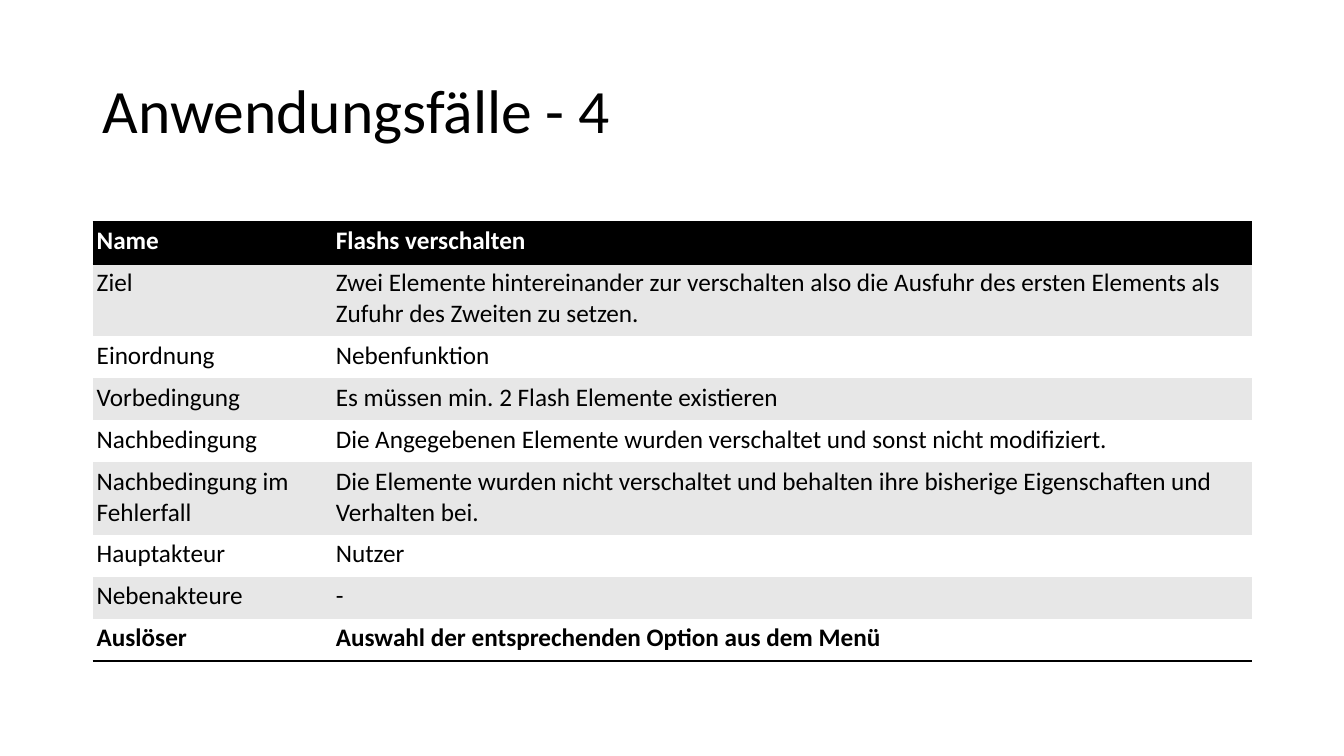
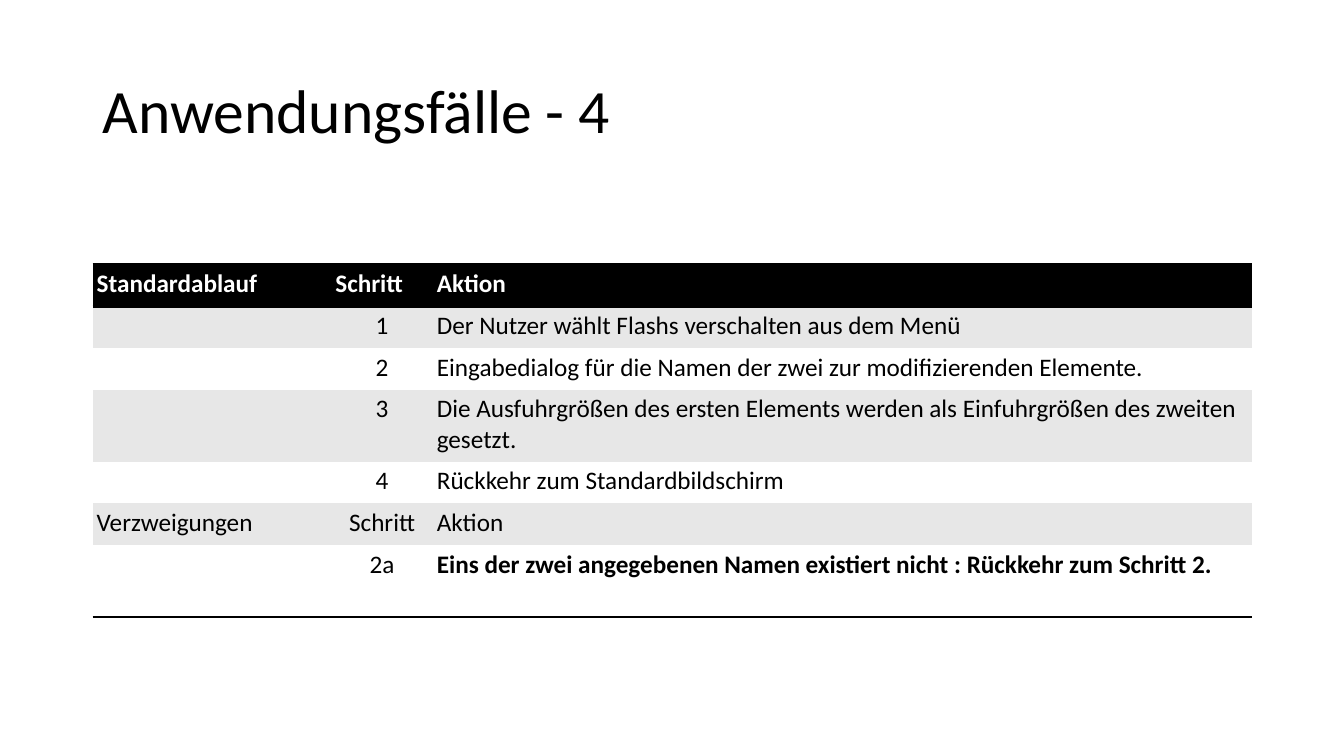
import pptx
import pptx.dml.color
import pptx.enum.text
import pptx.oxml
import pptx.util

Pt = pptx.util.Pt
ALIGN = pptx.enum.text.PP_ALIGN
NAMESPACE = "http://schemas.openxmlformats.org/drawingml/2006/main"
PLAIN_TABLE = "{2D5ABB26-0587-4C30-8999-92F81FD0307C}"


def color(value):
    """Turn a hex string into a colour."""
    return pptx.dml.color.RGBColor.from_string(value)


def assign(target, values):
    """Set the attributes of an object from a dict."""
    for name, value in values.items():
        setattr(target, name, value)


class Slides:
    """Shared style and the current slide."""

    font = "Calibri"
    black, white, band = "000000", "FFFFFF", "E7E7E7"
    left, width = 66.2, 828
    line_height = 21.5
    title_size, cell_size = 44, 18

    def __init__(self):
        """Start a wide deck."""
        self.deck = pptx.Presentation()
        assign(self.deck, {"slide_width": Pt(960), "slide_height": Pt(540)})
        self.page = None

    def add_page(self, title):
        """Add a blank page with its title."""
        self.page = self.deck.slides.add_slide(self.deck.slide_layouts[6])
        box = self.page.shapes.add_textbox(
            Pt(self.left), Pt(28.75), Pt(self.width), Pt(104.4))
        assign(box.text_frame, {
            "word_wrap": True,
            "vertical_anchor": pptx.enum.text.MSO_ANCHOR.MIDDLE})
        para = box.text_frame.paragraphs[0]
        para.line_spacing = 0.9
        self.add_span(para, title, self.title_size, self.black)

    def add_span(self, para, text, size, ink, bold=False):
        """Add a formatted span to a paragraph."""
        span = para.add_run()
        span.text = text
        assign(span.font, {"name": self.font, "size": Pt(size), "bold": bold})
        span.font.color.rgb = color(ink)

    def rule(self, cell, side):
        """Draw a black line on one side of a cell."""
        cell._tc.get_or_add_tcPr().append(pptx.oxml.parse_xml(
            f'<a:ln{side} xmlns:a="{NAMESPACE}" w="{Pt(2)}"><a:solidFill>'
            f'<a:srgbClr val="{self.black}"/></a:solidFill></a:ln{side}>'))

    def fill_cell(self, cell, text, fill, ink, bold, align, sides):
        """Set the lines, fill and text of a cell."""
        for side in sides:
            self.rule(cell, side)
        cell.fill.solid()
        cell.fill.fore_color.rgb = color(fill)
        assign(cell, {f"margin_{side}": Pt(2.9)
                      for side in ("left", "top", "right", "bottom")})
        para = cell.text_frame.paragraphs[0]
        para.alignment = align
        para.font.size = Pt(self.cell_size)
        if text:
            self.add_span(para, text, self.cell_size, ink, bold)

    def add_table(self, top, widths, row_height, rows, tall_rows,
                  bold_columns, centred_columns=()):
        """Add a banded table with a black header and a closing line."""
        heights = [row_height + self.line_height * (index in tall_rows)
                   for index in range(len(rows))]
        table = self.page.shapes.add_table(
            len(rows), len(widths), Pt(self.left), Pt(top),
            Pt(self.width), Pt(sum(heights))).table
        table._tbl.tblPr.find(f"{{{NAMESPACE}}}tableStyleId").text = PLAIN_TABLE
        for column, width in zip(table.columns, widths):
            column.width = Pt(width)
        last = len(rows) - 1
        for index, texts in enumerate(rows):
            table.rows[index].height = Pt(heights[index])
            header = index == 0
            fill = self.black if header else (self.white, self.band)[index % 2]
            sides = "TB" if header else "B" if index == last else ""
            for place, text in enumerate(texts):
                centred = place in centred_columns and not header
                self.fill_cell(
                    table.cell(index, place), text, fill,
                    self.white if header else self.black,
                    header or (index == last and place in bold_columns),
                    ALIGN.CENTER if centred else ALIGN.LEFT, sides)


TITLE = "Anwendungsfälle - 4"
USE_CASE = [
    ("Name", "Flashs verschalten"),
    ("Ziel", "Zwei Elemente hintereinander zur verschalten also die Ausfuhr "
             "des ersten Elements als Zufuhr des Zweiten zu setzen."),
    ("Einordnung", "Nebenfunktion"),
    ("Vorbedingung", "Es müssen min. 2 Flash Elemente existieren"),
    ("Nachbedingung", "Die Angegebenen Elemente wurden verschaltet und sonst "
                      "nicht modifiziert."),
    ("Nachbedingung im Fehlerfall",
     "Die Elemente wurden nicht verschaltet und behalten ihre bisherige "
     "Eigenschaften und Verhalten bei."),
    ("Hauptakteur", "Nutzer"),
    ("Nebenakteure", "-"),
    ("Auslöser", "Auswahl der entsprechenden Option aus dem Menü"),
]
STEPS = [
    ("Standardablauf", "Schritt", "Aktion"),
    ("", "1", "Der Nutzer wählt Flashs verschalten aus dem Menü"),
    ("", "2", "Eingabedialog für die Namen der zwei zur modifizierenden "
              "Elemente."),
    ("", "3", "Die Ausfuhrgrößen des ersten Elements werden als "
              "Einfuhrgrößen des zweiten gesetzt."),
    ("", "4", "Rückkehr zum Standardbildschirm"),
    ("Verzweigungen", "Schritt", "Aktion"),
    ("", "2a", "Eins der zwei angegebenen Namen existiert nicht : Rückkehr "
               "zum Schritt 2."),
]

slides = Slides()
slides.add_page(TITLE)
slides.add_table(158.4, (170.8, 657.2), 30.1, USE_CASE, tall_rows=(1, 5),
                 bold_columns=(0, 1))
slides.add_page(TITLE)
slides.add_table(189, (170.5, 72.5, 585), 29.8, STEPS, tall_rows=(3, 6),
                 bold_columns=(2,), centred_columns=(1,))
slides.deck.save("out.pptx")
